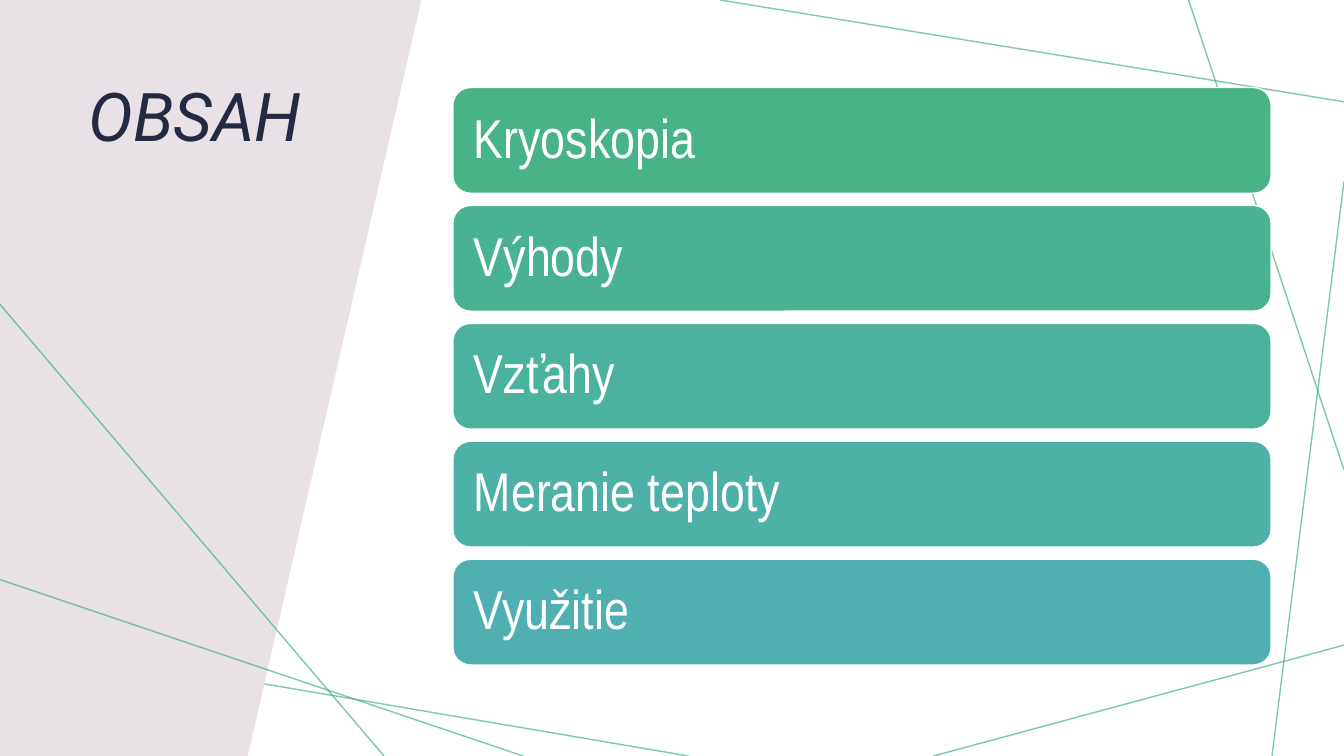
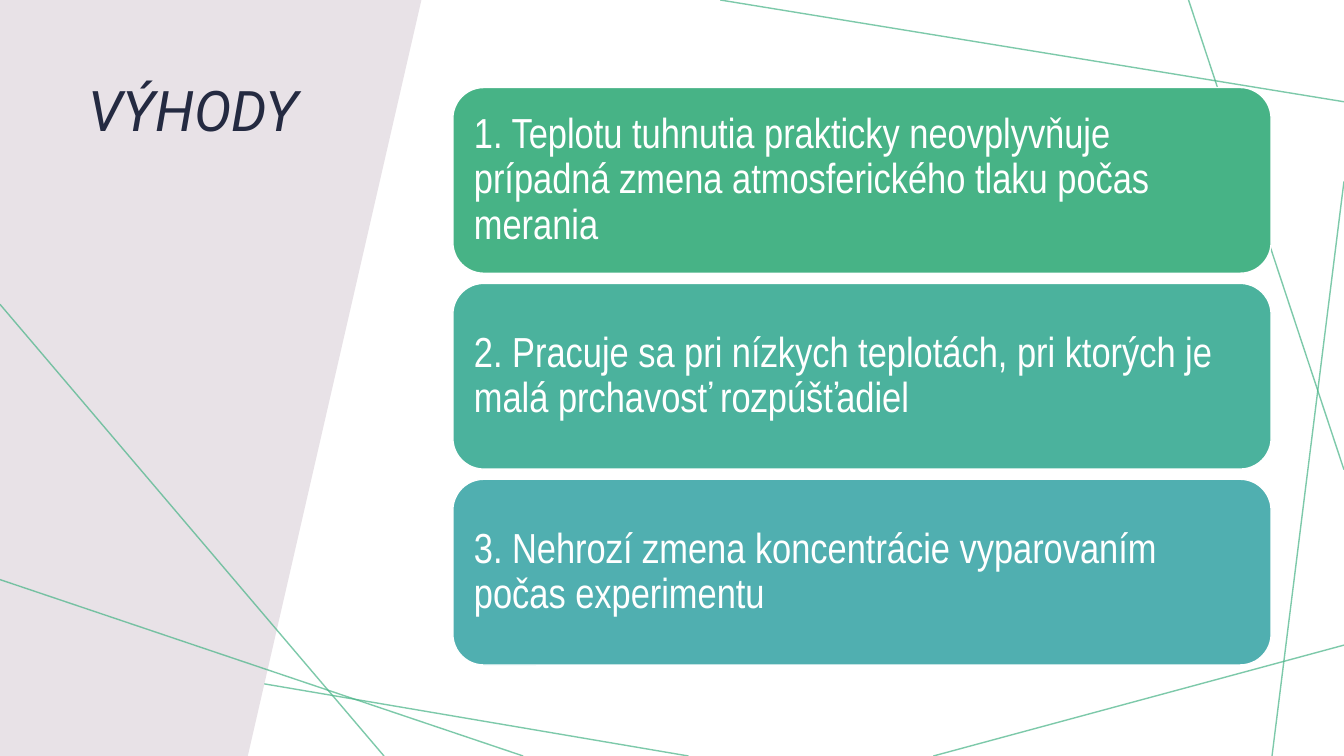
from pptx import Presentation
from pptx.dml.color import RGBColor
from pptx.enum.shapes import MSO_CONNECTOR as CONN, MSO_SHAPE as SHAPE
from pptx.enum.text import MSO_ANCHOR as ANCHOR, PP_ALIGN as ALIGN
from pptx.oxml.xmlchemy import OxmlElement
from pptx.util import Pt

WHITE = RGBColor(0xFF, 0xFF, 0xFF)
NAVY = RGBColor(0x24, 0x2A, 0x41)
MAUVE = RGBColor(0xE8, 0xE2, 0xE7)
GREEN = RGBColor(0x47, 0xB3, 0x86)
TEALS = [GREEN, RGBColor(0x49, 0xB2, 0x92), RGBColor(0x4B, 0xB2, 0x9D),
         RGBColor(0x4D, 0xB1, 0xA7), RGBColor(0x50, 0xAF, 0xB0)]
TITLE_FONT, CARD_FONT = "Roboto", "Arial Narrow"

SLIDE_W, SLIDE_H = 960, 540
PANEL = [(0, 0), (301, 0), (177, SLIDE_H), (0, SLIDE_H)]
LINES_BEHIND = [
    (491.8, SLIDE_H, 0, 456.4),
    (SLIDE_W, 460.8, 666.7, SLIDE_H),
    (SLIDE_W, 129.6, 908.6, SLIDE_H),
    (SLIDE_W, 335.5, 849, 0),
    (SLIDE_W, 72.7, 514.5, 0),
]
LINES_FRONT = [(0, 217.4, 274.3, SLIDE_H), (373.7, SLIDE_H, 0, 414)]

CARD_X, CARD_W, CARD_TOP, CARD_BOTTOM = 323.5, 584.5, 62.5, 475
CARD_PAD, CORNER = 15, 0.1667

SLIDES = [
    dict(title="OBSAH", title_size=48, card_size=39, gap=8.7, cards=[
        "Kryoskopia", "Výhody", "Vzťahy", "Meranie teploty", "Využitie"]),
    dict(title="VÝHODY", title_size=40, card_size=30, gap=7.2, cards=[
        "1. Teplotu tuhnutia prakticky neovplyvňuje prípadná zmena "
        "atmosferického tlaku počas merania",
        "2. Pracuje sa pri nízkych teplotách, pri ktorých je malá "
        "prchavosť rozpúšťadiel",
        "3. Nehrozí zmena koncentrácie vyparovaním počas experimentu"]),
]


def add_lines(s, lines):
    for ends in lines:
        line = s.shapes.add_connector(CONN.STRAIGHT, *map(Pt, ends))
        line.line.width = Pt(1)
        line.line.color.rgb = GREEN
        alpha = OxmlElement("a:alpha")
        alpha.set("val", "70000")
        line.line.fill._xPr.find(".//{*}srgbClr").append(alpha)
        line._element.spPr.append(OxmlElement("a:effectLst"))


def add_background(s):
    add_lines(s, LINES_BEHIND)
    builder = s.shapes.build_freeform(*map(Pt, PANEL[0]))
    builder.add_line_segments([(Pt(x), Pt(y)) for x, y in PANEL[1:]])
    panel = builder.convert_to_shape()
    panel.shadow.inherit = False
    panel.fill.solid()
    panel.fill.fore_color.rgb = MAUVE
    panel.line.fill.background()
    add_lines(s, LINES_FRONT)


def write(tf, text, font, size, color, italic=False):
    tf.word_wrap = True
    p = tf.paragraphs[0]
    p.alignment = ALIGN.LEFT
    p.line_spacing = 0.9
    r = p.add_run()
    r.text = text
    r.font.name = font
    r.font.size = Pt(size)
    r.font.italic = italic
    r.font.color.rgb = color


def add_title(s, text, size):
    sp = s.shapes.add_textbox(Pt(56), Pt(56), Pt(194.5), Pt(146))
    write(sp.text_frame, text, TITLE_FONT, size, NAVY, italic=True)


def add_cards(s, cards, size, gap):
    n = len(cards)
    height = (CARD_BOTTOM - CARD_TOP - gap * (n - 1)) / n
    inset = CARD_PAD - 0.29 * CORNER * height
    for i, text in enumerate(cards):
        top = CARD_TOP + i * (height + gap)
        sp = s.shapes.add_shape(SHAPE.ROUNDED_RECTANGLE, Pt(CARD_X), Pt(top),
                                Pt(CARD_W), Pt(height))
        sp.adjustments[0] = CORNER
        sp.shadow.inherit = False
        sp.fill.solid()
        sp.fill.fore_color.rgb = TEALS[i * (len(TEALS) - 1) // (n - 1)]
        sp.line.color.rgb = WHITE
        sp.line.width = Pt(1)
        tf = sp.text_frame
        tf.margin_left = tf.margin_right = Pt(inset)
        tf.margin_top = tf.margin_bottom = 0
        tf.vertical_anchor = ANCHOR.MIDDLE
        write(tf, text, CARD_FONT, size, WHITE)


def main():
    prs = Presentation()
    prs.slide_width, prs.slide_height = Pt(SLIDE_W), Pt(SLIDE_H)
    for content in SLIDES:
        s = prs.slides.add_slide(prs.slide_layouts[6])
        add_background(s)
        add_title(s, content["title"], content["title_size"])
        add_cards(s, content["cards"], content["card_size"], content["gap"])
    prs.save("out.pptx")


if __name__ == "__main__":
    main()
